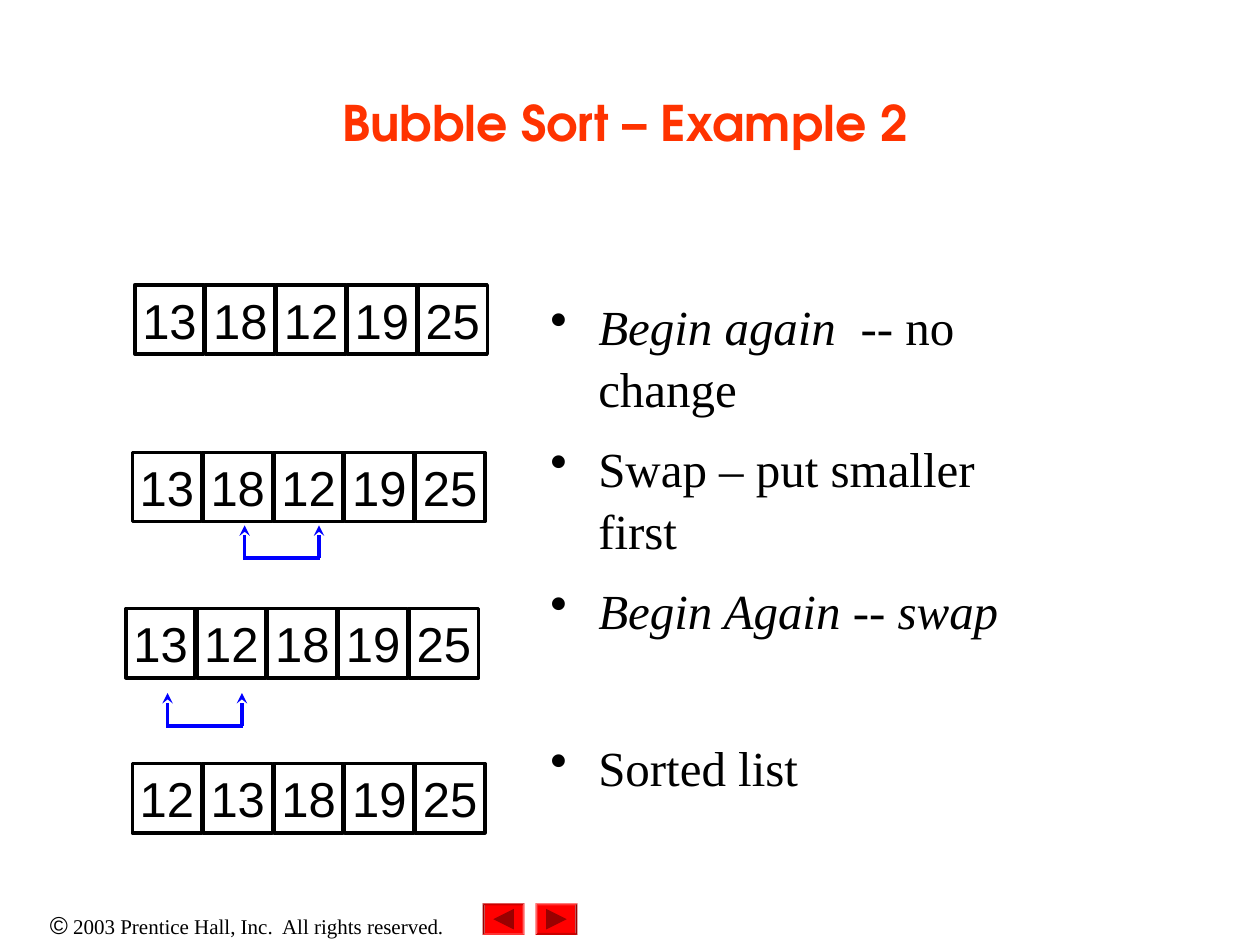
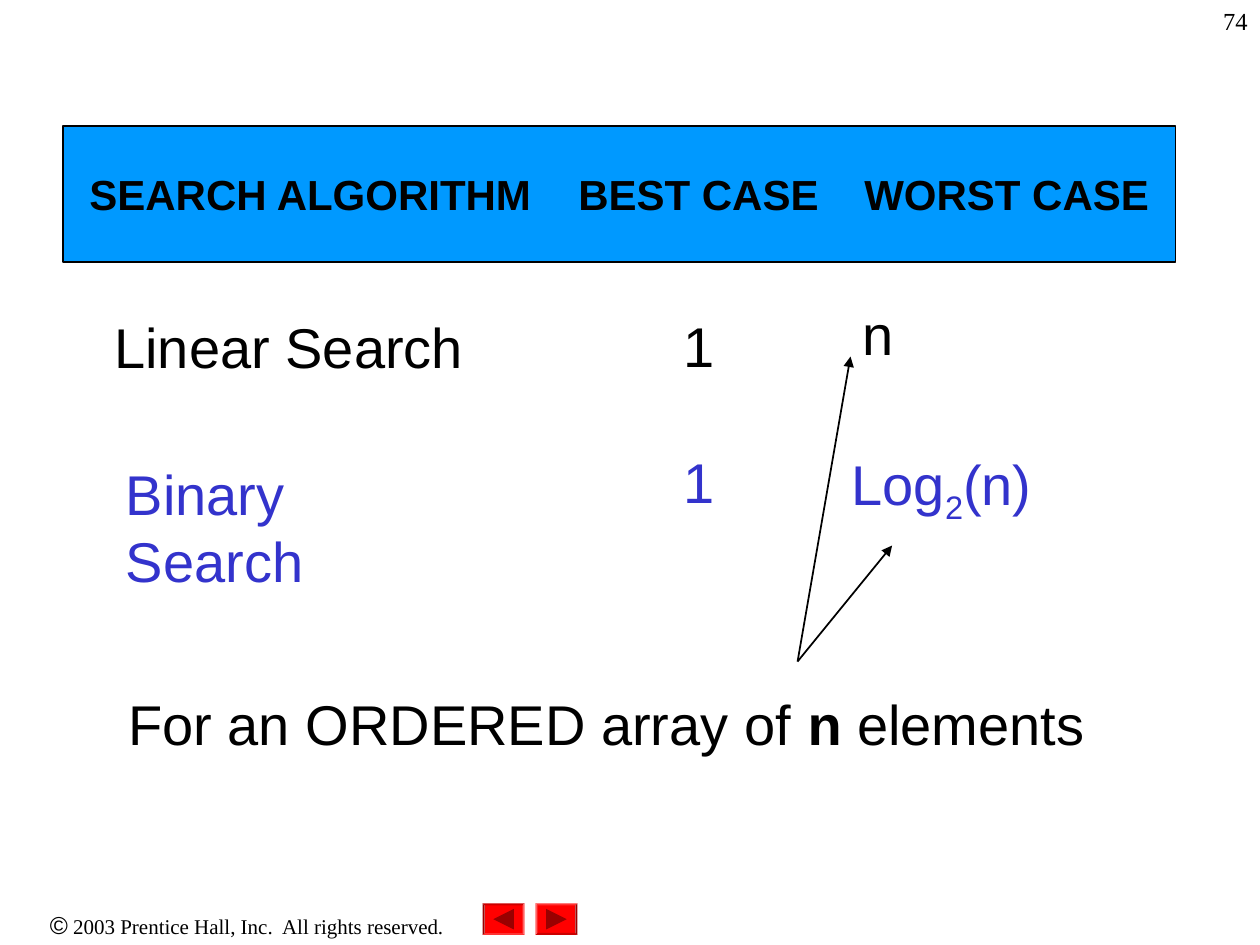
from collections import namedtuple

from lxml import etree
from pptx import Presentation
from pptx.dml.color import RGBColor
from pptx.enum.shapes import MSO_CONNECTOR, MSO_SHAPE
from pptx.enum.text import MSO_ANCHOR, PP_ALIGN
from pptx.oxml.ns import qn
from pptx.util import Inches, Pt

SLIDE_WIDTH, SLIDE_HEIGHT = Inches(10), Inches(7.5)
COLUMN, ROW = SLIDE_WIDTH / 100, SLIDE_HEIGHT / 75  # grid of 100 by 75

BLACK = RGBColor(0x00, 0x00, 0x00)
TITLE_RED = RGBColor(0xFF, 0x33, 0x00)
BUTTON_RED = RGBColor(0xFF, 0x00, 0x00)
BUTTON_DARK = RGBColor(0x99, 0x00, 0x00)
SWAP_BLUE = RGBColor(0x00, 0x00, 0xFF)
BAND_BLUE = RGBColor(0x00, 0x99, 0xFF)
BINARY_BLUE = RGBColor(0x33, 0x33, 0xCC)

SANS, SERIF, TITLE_FONT = "Arial", "Times New Roman", "TeX Gyre Adventor"
LEFT, CENTER, RIGHT = PP_ALIGN.LEFT, PP_ALIGN.CENTER, PP_ALIGN.RIGHT
TOP, MIDDLE, BOTTOM = MSO_ANCHOR.TOP, MSO_ANCHOR.MIDDLE, MSO_ANCHOR.BOTTOM
RECTANGLE, BEVEL = MSO_SHAPE.RECTANGLE, MSO_SHAPE.BEVEL
TRIANGLE = MSO_SHAPE.ISOSCELES_TRIANGLE
STRAIGHT = MSO_CONNECTOR.STRAIGHT
TITLE_ONLY, BLANK = 5, 6

Box = namedtuple("Box", "left top width height")


def place(box):
    """Turn a box in grid units into slide lengths."""
    return (int(box.left * COLUMN), int(box.top * ROW),
            int(box.width * COLUMN), int(box.height * ROW))


def set_font(font, size, name=SANS, color=BLACK, bold=None, italic=None):
    font.size, font.name = Pt(size), name
    font.bold, font.italic = bold, italic
    font.color.rgb = color


def add_text(slide, box, runs, size, name=SANS, color=BLACK,
             align=LEFT, wrap=True):
    """Add a one-paragraph text box and return its runs."""
    shape = slide.shapes.add_textbox(*place(box))
    shape.text_frame.word_wrap = wrap
    paragraph = shape.text_frame.paragraphs[0]
    paragraph.alignment = align
    set_font(paragraph.font, size, name, color)
    added = []
    for text in runs:
        run = paragraph.add_run()
        run.text = text
        added.append(run)
    return added


def add_block(slide, preset, box, fill=None, line=None, width=1):
    shape = slide.shapes.add_shape(preset, *place(box))
    shape.shadow.inherit = False
    if fill is None:
        shape.fill.background()
    else:
        shape.fill.solid()
        shape.fill.fore_color.rgb = fill
    if line is None:
        shape.line.fill.background()
    else:
        shape.line.color.rgb = line
        shape.line.width = Pt(width)
    return shape


def add_line(slide, start, end, color, width, arrow=None):
    ends = [int(value * unit) for point in (start, end)
            for value, unit in zip(point, (COLUMN, ROW))]
    connector = slide.shapes.add_connector(STRAIGHT, *ends)
    connector.line.color.rgb = color
    connector.line.width = Pt(width)
    properties = connector._element.spPr
    if arrow:
        outline = properties.find(qn("a:ln"))
        etree.SubElement(outline, qn("a:tailEnd"), type=arrow)
    etree.SubElement(properties, qn("a:effectLst"))


# Shared parts

def add_title(slide, box, text):
    title = slide.shapes.title
    title.left, title.top, title.width, title.height = place(box)
    frame = title.text_frame
    frame.text = text
    frame.vertical_anchor = BOTTOM
    paragraph = frame.paragraphs[0]
    paragraph.alignment = CENTER
    set_font(paragraph.font, 28, TITLE_FONT, TITLE_RED, bold=True)


def add_button(slide, box, backward):
    button = add_block(slide, BEVEL, box, BUTTON_RED)
    button.adjustments[0] = 0.06
    button.rotation = 180 if backward else 0
    side = 0.65 * box.height
    pointer = add_block(slide, TRIANGLE,
                        Box(box.left + (box.width - side) / 2,
                            box.top + (box.height - side) / 2, side, side),
                        BUTTON_DARK)
    pointer.rotation = 270 if backward else 90


def add_footer(slide, box):
    sign, _ = add_text(
        slide, Box(box.left, box.top, 39.2, box.height),
        ["©", " 2003 Prentice Hall, Inc.  All rights reserved."],
        12, SERIF, align=CENTER)
    sign.font.size, sign.font.name = Pt(14), SANS
    for index, backward in enumerate((True, False)):
        add_button(slide, Box(box.left + 38.3 + 4.2 * index, box.top, 3.33, 2.5),
                   backward)


# Bubble sort slide

def add_array(slide, box, values):
    """Draw the values as a row of equal cells."""
    pitch = box.width / len(values)
    for index, value in enumerate(values):
        cell = add_block(slide, RECTANGLE,
                         Box(box.left + index * pitch, box.top,
                             box.height, box.height), line=BLACK, width=2)
        frame = cell.text_frame
        frame.word_wrap = False
        frame.vertical_anchor = MIDDLE
        frame.text = str(value)
        paragraph = frame.paragraphs[0]
        paragraph.alignment = CENTER
        set_font(paragraph.font, 28)


def add_swap_mark(slide, box):
    """Draw a bracket whose two ends point at the swapped cells."""
    right, bottom = box.left + box.width, box.top + box.height
    for x in (box.left, right):
        add_line(slide, (x, bottom), (x, box.top), SWAP_BLUE, 2, "stealth")
    add_line(slide, (box.left - 0.1, bottom), (right + 0.1, bottom), SWAP_BLUE, 2)


def add_steps(slide, box, steps):
    """Write the bulleted steps; each is a list of (text, italic) and a gap before."""
    frame = slide.shapes.add_textbox(*place(box)).text_frame
    frame.word_wrap = True
    for index, (runs, gap) in enumerate(steps):
        paragraph = frame.paragraphs[0] if index == 0 else frame.add_paragraph()
        properties = paragraph._p.get_or_add_pPr()
        properties.set("marL", str(Inches(0.38)))
        properties.set("indent", str(-Inches(0.38)))
        etree.SubElement(properties, qn("a:buChar"), char="•")
        paragraph.line_spacing = 1.05
        paragraph.space_after = Pt(10.5)
        if gap:
            paragraph.space_before = Pt(gap)
        set_font(paragraph.font, 28, SERIF)
        for text, italic in runs:
            run = paragraph.add_run()
            run.text = text
            run.font.italic = italic


def build_bubble_sort(presentation):
    slide = presentation.slides.add_slide(presentation.slide_layouts[TITLE_ONLY])
    add_footer(slide, Box(0, 71.7, 46, 3.4))
    add_title(slide, Box(6.7, 0, 85.8, 12.5), "Bubble Sort – Example 2")
    add_steps(slide, Box(42.7, 22.8, 41, 44.9), [
        ([("Begin again", True), ("  -- no change", False)], 0),
        ([("Swap – put smaller first", False)], 0),
        ([("Begin Again -- swap", True)], 0),
        ([("Sorted list", False)], 44.2),
    ])
    # Each pass: left, top, values, first swapped cell, gap above the mark
    passes = [
        (10.7, 22.6, (13, 18, 12, 19, 25), None, 0),
        (10.5, 35.9, (13, 18, 12, 19, 25), 1, 0.3),
        (10.0, 48.3, (13, 12, 18, 19, 25), 0, 1.2),
        (10.5, 60.6, (12, 13, 18, 19, 25), None, 0),
    ]
    for left, top, values, swapped, gap in passes:
        array = Box(left, top, 28.1, 5.5)
        add_array(slide, array, values)
        if swapped is not None:
            pitch = array.width / len(values)
            add_swap_mark(slide, Box(left + 3.3 + swapped * pitch,
                                     top + array.height + gap, 5.9, 2.6))


# Search comparison slide

def add_heading_band(slide, box, headings, stops):
    """Write the column headings on one line, set apart by tab stops."""
    band = add_block(slide, RECTANGLE, box, BAND_BLUE, BLACK)
    frame = band.text_frame
    frame.vertical_anchor = MIDDLE
    frame.margin_left = int(2.1 * COLUMN)
    frame.margin_right = 0
    frame.text = "\t".join(headings)
    paragraph = frame.paragraphs[0]
    paragraph.alignment = LEFT
    tab_list = etree.SubElement(paragraph._p.get_or_add_pPr(), qn("a:tabLst"))
    for stop in stops:
        etree.SubElement(tab_list, qn("a:tab"), pos=str(int(stop * COLUMN)), algn="l")
    set_font(paragraph.font, 24, bold=True)


def build_search_comparison(presentation):
    slide = presentation.slides.add_slide(presentation.slide_layouts[BLANK])
    add_footer(slide, Box(0, 71.7, 46, 3.4))
    add_text(slide, Box(79.2, 0, 20.8, 5), ["74"], 14, SERIF, align=RIGHT)
    add_heading_band(slide, Box(5, 10, 88.3, 10.8),
                     ("SEARCH ALGORITHM", "BEST CASE", "WORST CASE"), (38.8, 61.5))

    # Entries under the headings
    entries = [
        (Box(8.1, 24.3, 29.7, 6.4), "Linear Search", BLACK),
        (Box(53.3, 24.2, 4.5, 6.4), "1", BLACK),
        (Box(67.5, 23.3, 4.5, 6.4), "n", BLACK),
        (Box(9, 36, 29.9, 6.4), "Binary Search", BINARY_BLUE),
        (Box(53.3, 35, 4.5, 6.4), "1", BINARY_BLUE),
    ]
    for box, text, color in entries:
        add_text(slide, box, [text], 32, color=color, wrap=False)
    logarithm = add_text(slide, Box(66.6, 35.2, 16.3, 7.1), ["Log", "2", "(n)"],
                         32, color=BINARY_BLUE, wrap=False)
    logarithm[1]._r.get_or_add_rPr().set("baseline", "-25000")

    # Note with arrows to both worst cases
    note = add_text(slide, Box(9.2, 54.2, 81.7, 6.4),
                    ["For an ORDERED array of ", "n", " elements"], 32)
    note[1].font.bold = True
    for target in ((70.8, 43.3), (67.5, 28.3)):
        add_line(slide, (63.3, 52.5), target, BLACK, 1, "triangle")


def main():
    presentation = Presentation()
    presentation.slide_width = SLIDE_WIDTH
    presentation.slide_height = SLIDE_HEIGHT
    build_bubble_sort(presentation)
    build_search_comparison(presentation)
    presentation.save("out.pptx")


if __name__ == "__main__":
    main()
